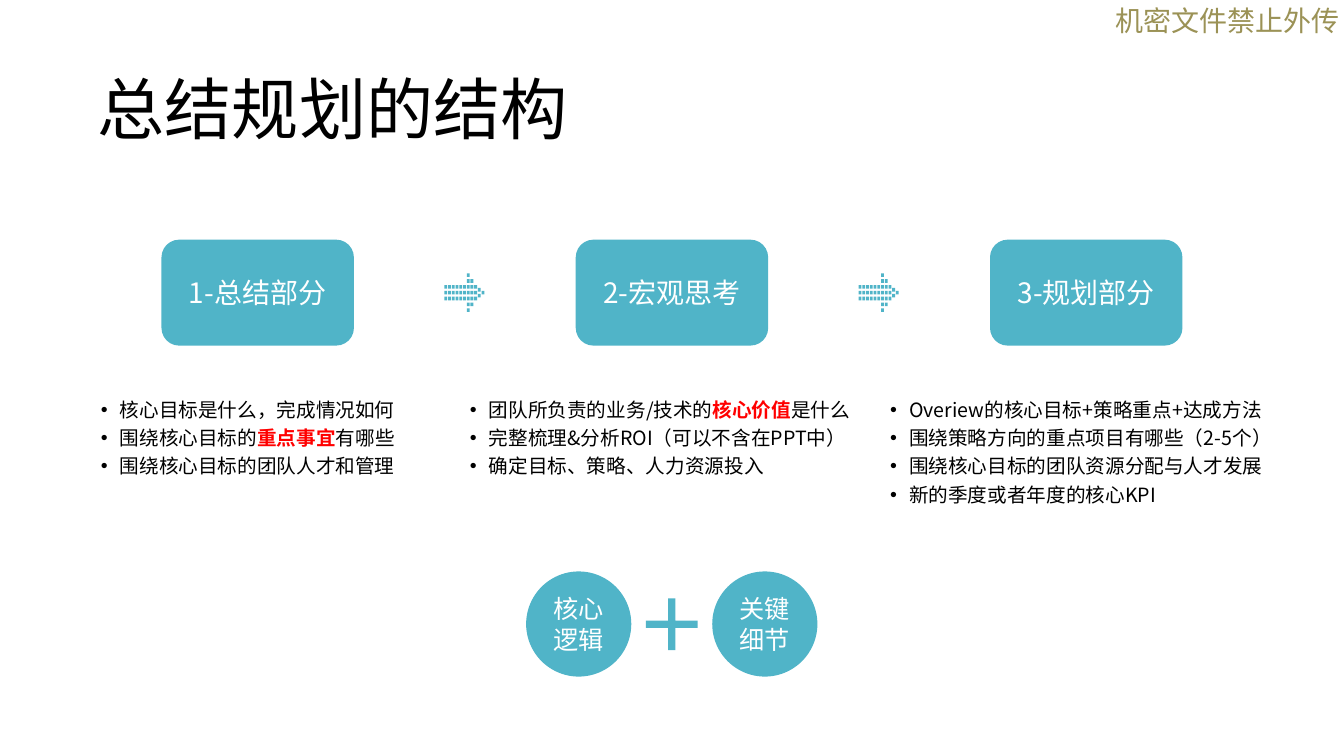
"""Build the slide on the structure of a review and planning deck."""
from pptx import Presentation
from pptx import util as u
from pptx.dml.color import RGBColor
from pptx.enum import shapes, text
from pptx.oxml import ns
from lxml import etree

TEAL = RGBColor(0x50, 0xB4, 0xC8)
OLIVE = RGBColor(0x9B, 0x92, 0x56)
BLACK = RGBColor(0, 0, 0)
WHITE = RGBColor(255, 255, 255)
RED = RGBColor(255, 0, 0)
SANS = "Noto Sans CJK SC"
LEFT, CENTER, RIGHT = text.PP_ALIGN.LEFT, text.PP_ALIGN.CENTER, text.PP_ALIGN.RIGHT
TOP, MIDDLE = text.MSO_ANCHOR.TOP, text.MSO_ANCHOR.MIDDLE


def write(shape, lines, size, color, font=SANS, align=LEFT, anchor=TOP, spacing=1.0, bullet=False):
    """Fill a shape with paragraphs; text between bars is highlighted."""
    frame = shape.text_frame
    frame.word_wrap = True
    frame.vertical_anchor = anchor
    frame.margin_left = frame.margin_right = u.Cm(0.13)
    frame.margin_top = frame.margin_bottom = u.Cm(0.13)
    for number, line in enumerate(lines):
        para = frame.add_paragraph() if number else frame.paragraphs[0]
        para.alignment = align
        para.line_spacing = spacing
        if bullet:
            props = para._p.get_or_add_pPr()
            props.set("marL", str(u.Cm(0.48)))
            props.set("indent", str(-u.Cm(0.48)))
            etree.SubElement(props, ns.qn("a:buFont"), typeface="Arial")
            etree.SubElement(props, ns.qn("a:buChar"), char="•")
        for part, words in enumerate(line.split("|")):
            span = para.add_run()
            span.text = words
            span.font.size = u.Pt(size)
            span.font.name = font
            span.font.bold = part % 2 == 1
            span.font.color.rgb = RED if part % 2 else color
            etree.SubElement(span._r.get_or_add_rPr(), ns.qn("a:ea"), typeface=font)


def paint(shape):
    """Give a shape the flat teal look."""
    shape.shadow.inherit = False
    shape.fill.solid()
    shape.fill.fore_color.rgb = TEAL
    shape.line.fill.background()


deck = Presentation()
deck.slide_width, deck.slide_height = u.Cm(33.87), u.Cm(19.05)
page = deck.slides.add_slide(deck.slide_layouts[6])

notice = page.shapes.add_textbox(u.Cm(26.97), u.Cm(-0.03), u.Cm(6.93), u.Cm(1.24))
write(notice, ["机密文件禁止外传"], 20, OLIVE, font="Arial", align=RIGHT)

title = page.shapes.add_textbox(u.Cm(2.33), u.Cm(1.01), u.Cm(29.21), u.Cm(3.68))
write(title, ["总结规划的结构"], 48, BLACK, font="Arial", anchor=MIDDLE, spacing=0.9)

STAGE_LEFT, STAGE_STEP = 4.07, 10.44
for index, name in enumerate(["1-总结部分", "2-宏观思考", "3-规划部分"]):
    stage = page.shapes.add_shape(
        shapes.MSO_SHAPE.ROUNDED_RECTANGLE,
        u.Cm(STAGE_LEFT + index * STAGE_STEP), u.Cm(6.04), u.Cm(4.85), u.Cm(2.67))
    paint(stage)
    write(stage, [name], 20, WHITE, align=CENTER, anchor=MIDDLE)

DOT_WIDTH, DOT_HEIGHT = 0.07, 0.09
COLUMN_STEP, ROW_STEP = 0.094, 0.147
dots = [(column, row) for row in (2, 3, 4) for column in range(9)]
dots += [(6, 0), (6, 1), (7, 1), (6, 5), (7, 5), (6, 6), (9, 2.5), (9, 3.5), (10, 3)]
for index in range(2):
    outline = None
    for column, row in dots:
        left = 11.2 + index * STAGE_STEP + column * COLUMN_STEP
        top = 6.89 + row * ROW_STEP
        right, bottom = left + DOT_WIDTH, top + DOT_HEIGHT
        if outline is None:
            outline = page.shapes.build_freeform(u.Cm(left), u.Cm(top))
        else:
            outline.move_to(u.Cm(left), u.Cm(top))
        outline.add_line_segments(
            [(u.Cm(x), u.Cm(y)) for x, y in [(right, top), (right, bottom), (left, bottom)]])
    paint(outline.convert_to_shape())

columns = [
    (2.41, 8.15, ["核心目标是什么，完成情况如何",
                  "围绕核心目标的|重点事宜|有哪些",
                  "围绕核心目标的团队人才和管理"]),
    (11.71, 10.44, ["团队所负责的业务/技术的|核心价值|是什么",
                    "完整梳理&分析ROI（可以不含在PPT中）",
                    "确定目标、策略、人力资源投入"]),
    (22.3, 10.01, ["Overiew的核心目标+策略重点+达成方法",
                   "围绕策略方向的重点项目有哪些（2-5个）",
                   "围绕核心目标的团队资源分配与人才发展",
                   "新的季度或者年度的核心KPI"]),
]
for left, width, points in columns:
    box = page.shapes.add_textbox(u.Cm(left), u.Cm(9.78), u.Cm(width), u.Cm(0.26 + 0.8 * len(points)))
    write(box, points, 14, BLACK, spacing=1.2, bullet=True)

for left, lines in [(13.26, ["核心", "逻辑"]), (17.95, ["关键细节"])]:
    circle = page.shapes.add_shape(
        shapes.MSO_SHAPE.OVAL, u.Cm(left), u.Cm(14.4), u.Cm(2.65), u.Cm(2.65))
    paint(circle)
    write(circle, lines, 18, WHITE, font="Arial", align=CENTER, anchor=MIDDLE)

plus = page.shapes.add_shape(
    shapes.MSO_SHAPE.CROSS, u.Cm(16.28), u.Cm(15.08), u.Cm(1.3), u.Cm(1.3))
plus.adjustments[0] = 0.43
paint(plus)

deck.save("out.pptx")
